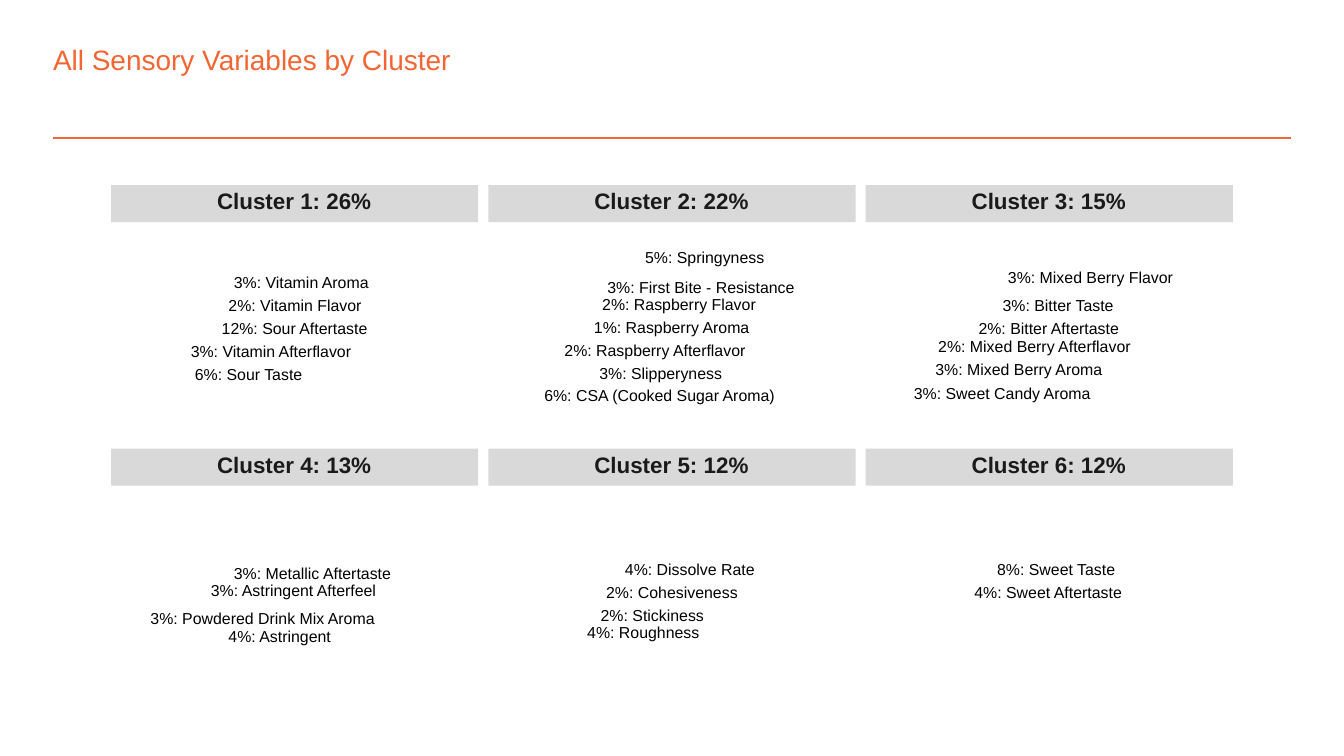
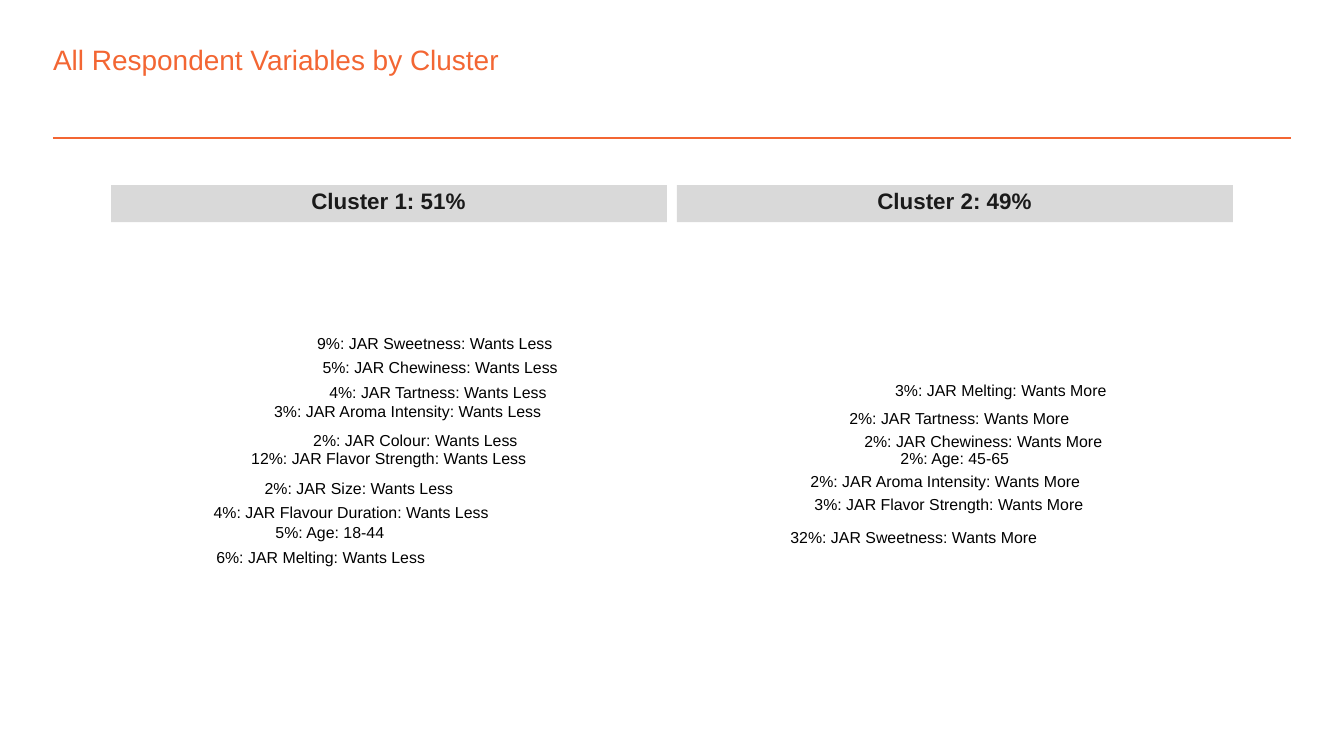
from dataclasses import dataclass

from pptx import Presentation
from pptx.dml.color import RGBColor
from pptx.enum.shapes import MSO_CONNECTOR, MSO_SHAPE
from pptx.enum.text import MSO_ANCHOR, MSO_AUTO_SIZE
from pptx.oxml.ns import qn
from pptx.util import Pt


@dataclass(frozen=True)
class Theme:
    font: str = "Arial"
    accent: RGBColor = RGBColor(0xF3, 0x66, 0x33)
    paper: RGBColor = RGBColor(0xFF, 0xFF, 0xFF)
    band: RGBColor = RGBColor(0xD9, 0xD9, 0xD9)
    heading: RGBColor = RGBColor(0x1A, 0x1A, 0x1A)
    label: RGBColor = RGBColor(0, 0, 0)
    title_size: float = 15
    heading_size: float = 12
    label_size: float = 8.5


THEME = Theme()

GRID_LEFT, GRID_WIDTH, GRID_GAP = 59.5, 601, 5.4
GRID_TOP, ROW_PITCH, BAND_HEIGHT = 99.2, 141.2, 19.8
HEADING_WIDTH, HEADING_HEIGHT, HEADING_RISE = 83.2, 9.4, 0.4
LABEL_HEIGHT, DESCENDER_LABEL_HEIGHT, LABEL_SLACK = 6.5, 8, 1.2

SENSORY_CLUSTERS = [
    ("Cluster 1: 26%", [
        ("3%: Vitamin Aroma", 125.3, 149, 72.7),
        ("2%: Vitamin Flavor", 122.4, 161.3, 71.3),
        ("12%: Sour Aftertaste", 118.8, 173.5, 78.5),
        ("3%: Vitamin Afterflavor", 102.2, 185.8, 87.1),
        ("6%: Sour Taste", 104.4, 198, 59),
    ]),
    ("Cluster 2: 22%", [
        ("5%: Springyness", 345.6, 134.6, 64.1),
        ("3%: First Bite - Resistance", 325.4, 151.2, 100.8),
        ("2%: Raspberry Flavor", 322.6, 159.8, 82.8),
        ("1%: Raspberry Aroma", 318.2, 172.1, 84.2),
        ("2%: Raspberry Afterflavor", 302.4, 184.3, 97.9),
        ("3%: Slipperyness", 321.1, 196.6, 66.2),
        ("6%: CSA (Cooked Sugar Aroma)", 291.6, 208.8, 124.6),
    ]),
    ("Cluster 3: 15%", [
        ("3%: Mixed Berry Flavor", 540, 145.4, 88.6),
        ("3%: Bitter Taste", 537.1, 161.3, 60.5),
        ("2%: Bitter Aftertaste", 524.2, 173.5, 75.6),
        ("2%: Mixed Berry Afterflavor", 502.6, 182.2, 103.7),
        ("3%: Mixed Berry Aroma", 501.1, 194.4, 90),
        ("3%: Sweet Candy Aroma", 489.6, 207.4, 95),
    ]),
    ("Cluster 4: 13%", [
        ("3%: Metallic Aftertaste", 125.3, 304.6, 85),
        ("3%: Astringent Afterfeel", 113, 313.2, 90),
        ("3%: Powdered Drink Mix Aroma", 80.6, 329, 121),
        ("4%: Astringent", 122.4, 337.7, 55.4),
    ]),
    ("Cluster 5: 12%", [
        ("4%: Dissolve Rate", 334.8, 302.4, 69.8),
        ("2%: Cohesiveness", 324.7, 314.6, 70.6),
        ("2%: Stickiness", 321.8, 326.9, 55.4),
        ("4%: Roughness", 314.6, 335.5, 60.5),
    ]),
    ("Cluster 6: 12%", [
        ("8%: Sweet Taste", 534.2, 302.4, 64.8),
        ("4%: Sweet Aftertaste", 522, 314.6, 79.9),
    ]),
]

RESPONDENT_CLUSTERS = [
    ("Cluster 1: 51%", [
        ("9%: JAR Sweetness: Wants Less", 169.9, 181.4, 126.7),
        ("5%: JAR Chewiness: Wants Less", 172.8, 194.4, 126.7),
        ("4%: JAR Tartness: Wants Less", 176.4, 207.4, 118.1),
        ("3%: JAR Aroma Intensity: Wants Less", 146.9, 217.4, 144),
        ("2%: JAR Colour: Wants Less", 167.8, 233.3, 110.2),
        ("12%: JAR Flavor Strength: Wants Less", 134.6, 242.6, 148.3),
        ("2%: JAR Size: Wants Less", 141.8, 259.2, 101.5),
        ("4%: JAR Flavour Duration: Wants Less", 114.5, 272.2, 148.3),
        ("5%: Age: 18-44", 147.6, 282.2, 59),
        ("6%: JAR Melting: Wants Less", 115.9, 295.2, 112.3),
    ]),
    ("Cluster 2: 49%", [
        ("3%: JAR Melting: Wants More", 479.5, 205.9, 113.8),
        ("2%: JAR Tartness: Wants More", 455, 221.8, 119.5),
        ("2%: JAR Chewiness: Wants More", 463, 234, 128.2),
        ("2%: Age: 45-65", 482.4, 242.6, 59),
        ("2%: JAR Aroma Intensity: Wants More", 434.2, 254.9, 145.4),
        ("3%: JAR Flavor Strength: Wants More", 436.3, 267.1, 144.7),
        ("32%: JAR Sweetness: Wants More", 423.4, 285.1, 132.5),
    ]),
]


def add_text(slide, text, left, top, width, height, size, color, bold=False):
    box = slide.shapes.add_textbox(Pt(left), Pt(top), Pt(width), Pt(height))
    frame = box.text_frame
    frame.margin_left = frame.margin_right = 0
    frame.margin_top = frame.margin_bottom = 0
    paragraph = frame.paragraphs[0]
    paragraph.text = text
    paragraph.font.name = THEME.font
    paragraph.font.size = Pt(size)
    paragraph.font.bold = bold
    paragraph.font.color.rgb = color
    return frame


def add_chart_text(slide, text, left, top, width, height, size, color, bold=False):
    frame = add_text(slide, text, left, top, width, height, size, color, bold)
    frame.word_wrap = False
    frame.vertical_anchor = MSO_ANCHOR.MIDDLE
    frame.paragraphs[0].line_spacing = Pt(size)


def add_rectangle(slide, left, top, width, height, fill, outline=None):
    rectangle = slide.shapes.add_shape(
        MSO_SHAPE.RECTANGLE, Pt(left), Pt(top), Pt(width), Pt(height))
    rectangle.shadow.inherit = False
    rectangle.fill.solid()
    rectangle.fill.fore_color.rgb = fill
    if outline is None:
        rectangle.line.fill.background()
    else:
        rectangle.line.color.rgb = outline
        rectangle.line.width = Pt(0.75)


def add_title(slide, title):
    rule = slide.shapes.add_connector(
        MSO_CONNECTOR.STRAIGHT, Pt(28.4), Pt(74), Pt(691.6), Pt(74))
    rule.line.color.rgb = THEME.accent
    rule.line.width = Pt(1)
    properties = rule._element.spPr
    properties.append(properties.makeelement(qn("a:effectLst"), {}))
    frame = add_text(slide, title, 28.4, 23, 597, 18, THEME.title_size, THEME.accent)
    frame.word_wrap = True
    frame.auto_size = MSO_AUTO_SIZE.SHAPE_TO_FIT_TEXT


def add_heading(slide, heading, left, top, width):
    add_rectangle(slide, left, top, width, BAND_HEIGHT, THEME.band)
    add_chart_text(
        slide, heading,
        left + (width - HEADING_WIDTH) / 2,
        top + (BAND_HEIGHT - HEADING_HEIGHT) / 2 - HEADING_RISE,
        HEADING_WIDTH, HEADING_HEIGHT,
        THEME.heading_size, THEME.heading, bold=True)


def add_label(slide, label, left, top, width):
    has_descender = any(letter in "gpy" for letter in label)
    height = DESCENDER_LABEL_HEIGHT if has_descender else LABEL_HEIGHT
    add_chart_text(slide, label, left, top, width + LABEL_SLACK, height,
                   THEME.label_size, THEME.label)


def add_cluster_slide(deck, title, clusters, columns):
    slide = deck.slides.add_slide(deck.slide_layouts[6])
    slide.background.fill.solid()
    slide.background.fill.fore_color.rgb = THEME.paper
    add_title(slide, title)
    add_rectangle(slide, 54, 93.6, 612, 288, THEME.paper, THEME.paper)
    column_width = (GRID_WIDTH - GRID_GAP * (columns - 1)) / columns
    for index, (heading, labels) in enumerate(clusters):
        row, column = divmod(index, columns)
        add_heading(slide, heading,
                    GRID_LEFT + column * (column_width + GRID_GAP),
                    GRID_TOP + row * ROW_PITCH, column_width)
        for label, left, top, width in labels:
            add_label(slide, label, left, top, width)


def main():
    deck = Presentation()
    deck.slide_width, deck.slide_height = Pt(720), Pt(405)
    add_cluster_slide(deck, "All Sensory Variables by Cluster",
                      SENSORY_CLUSTERS, columns=3)
    add_cluster_slide(deck, "All Respondent Variables by Cluster",
                      RESPONDENT_CLUSTERS, columns=2)
    deck.save("out.pptx")


main()
